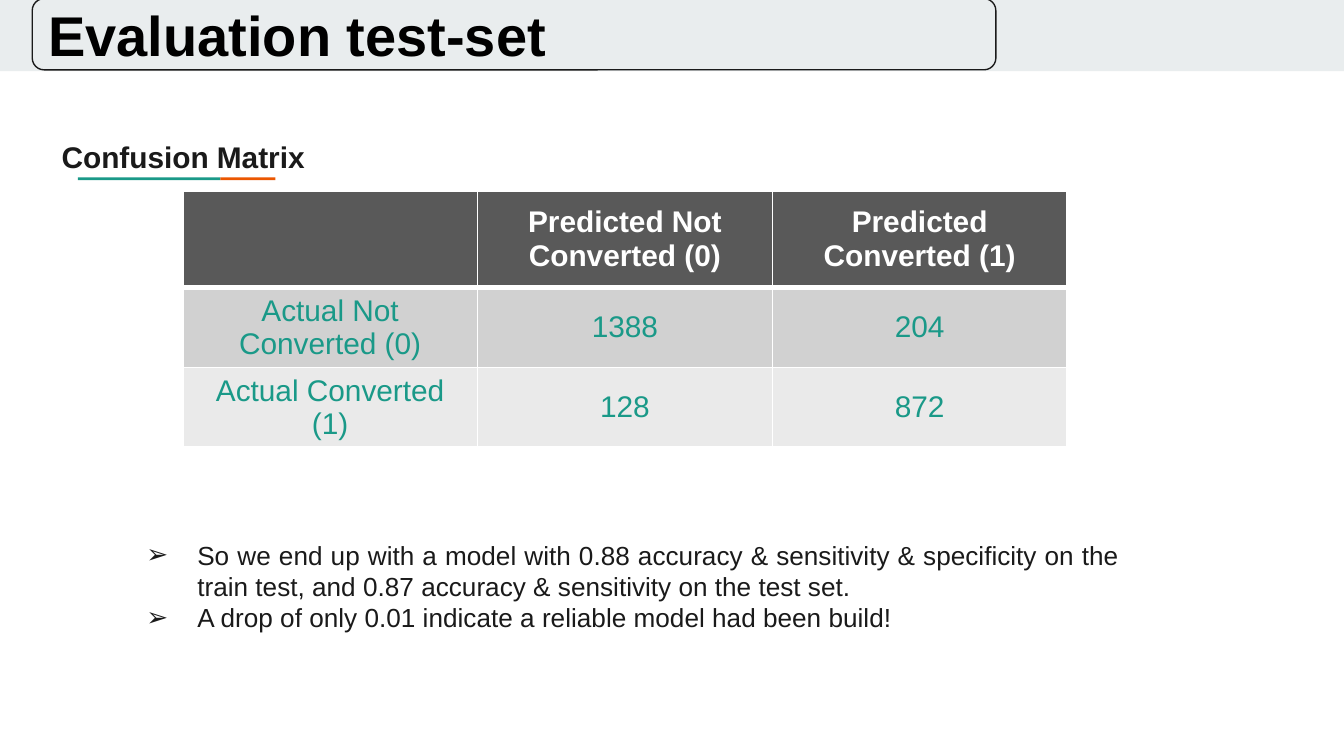
from lxml.etree import SubElement
from pptx import Presentation
from pptx.dml.color import RGBColor
from pptx.enum.shapes import MSO_SHAPE
from pptx.enum.text import MSO_ANCHOR, MSO_AUTO_SIZE, PP_ALIGN
from pptx.oxml.ns import qn
from pptx.util import Inches, Pt

WIDTH = 10
HEIGHT = WIDTH * 9 / 16
COLORS = {
    "band": "E9EDEE", "ink": "1A1A1A", "black": "000000", "white": "FFFFFF",
    "teal": "1A9988", "orange": "EB5600",
    "header": "595959", "odd_row": "D1D1D1", "even_row": "EAEAEA",
}
MATRIX = [
    ["", "Predicted Not Converted (0)", "Predicted Converted (1)"],
    ["Actual Not Converted (0)", "1388", "204"],
    ["Actual Converted (1)", "128", "872"],
]
ROW_HEIGHTS = [0.72, 0.59, 0.59]
FINDINGS = [
    "So we end up with a model with 0.88 accuracy & sensitivity & specificity "
    "on the train test, and 0.87 accuracy & sensitivity on the test set.",
    "A drop of only 0.01 indicate a reliable model had been build!",
]


def color(name):
    return RGBColor.from_string(COLORS[name])


def inches(box):
    return [Inches(length) for length in box]


def add_block(page, box, fill, kind=MSO_SHAPE.RECTANGLE, line=None):
    block = page.shapes.add_shape(kind, *inches(box))
    block.shadow.inherit = False
    block.fill.solid()
    block.fill.fore_color.rgb = color(fill)
    if line:
        block.line.color.rgb = color(line)
        block.line.width = Pt(0.75)
    else:
        block.line.fill.background()


def set_frame(frame, anchor=MSO_ANCHOR.TOP, inset=0.1):
    frame.word_wrap = True
    frame.auto_size = MSO_AUTO_SIZE.NONE
    frame.vertical_anchor = anchor
    frame.margin_left = frame.margin_right = Inches(inset)
    frame.margin_top = frame.margin_bottom = Inches(0.1)


def set_paragraph(para, text, size, ink, bold=False, align=PP_ALIGN.LEFT):
    para.text = text
    para.alignment = align
    para.font.name = "Arial"
    para.font.size = Pt(size)
    para.font.bold = bold
    para.font.color.rgb = color(ink)


def add_header(page, box):
    """Full-width band with the outlined title on it."""
    left, top, width, height = box
    add_block(page, box, "band")
    title_box = (left + 0.24, top - 0.01, 0.717 * width, height)
    add_block(page, title_box, "band", MSO_SHAPE.ROUNDED_RECTANGLE, "ink")
    title = page.shapes.title
    title.left, title.top, title.width, title.height = inches(title_box)
    set_frame(title.text_frame, MSO_ANCHOR.MIDDLE, 0.12)
    set_paragraph(title.text_frame.paragraphs[0], "Evaluation test-set", 30, "black", True)
    page.shapes._spTree.append(title._element)  # bring the title to the front


def add_section_heading(page, box):
    """Heading with a two-coloured rule under its first line."""
    left, top, width, height = box
    frame = page.shapes.add_textbox(*inches(box)).text_frame
    set_frame(frame)
    set_paragraph(frame.paragraphs[0], "Confusion Matrix", 16, "ink", True)
    frame.paragraphs[0]._p.get_or_add_pPr().set("marL", str(Inches(0.12)))
    rule_left = left + 0.34
    for length, fill in ((1.06, "teal"), (0.41, "orange")):
        add_block(page, (rule_left, top + 0.39, length, 0.02), fill)
        rule_left += length


def set_borders(cell, is_header):
    for side in "LRTB":
        width = 3 if is_header and side == "B" else 1
        line = SubElement(cell._tc.get_or_add_tcPr(), qn(f"a:ln{side}"), w=str(Pt(width)))
        SubElement(SubElement(line, qn("a:solidFill")), qn("a:srgbClr"), val=COLORS["white"])


def add_matrix(page, box):
    table = page.shapes.add_table(len(MATRIX), len(MATRIX[0]), *inches(box)).table
    for row, height in zip(table.rows, ROW_HEIGHTS):
        row.height = Inches(height)
    for row_index, (texts, fill) in enumerate(zip(MATRIX, ("header", "odd_row", "even_row"))):
        is_header = row_index == 0
        for column_index, text in enumerate(texts):
            cell = table.cell(row_index, column_index)
            set_borders(cell, is_header)
            cell.fill.solid()
            cell.fill.fore_color.rgb = color(fill)
            cell.vertical_anchor = MSO_ANCHOR.MIDDLE
            cell.margin_left = cell.margin_right = Inches(0.12)
            set_paragraph(cell.text_frame.paragraphs[0], text, 16,
                          "white" if is_header else "teal", is_header, PP_ALIGN.CENTER)


def add_findings(page, box):
    frame = page.shapes.add_textbox(*inches(box)).text_frame
    set_frame(frame)
    for index, text in enumerate(FINDINGS):
        para = frame.add_paragraph() if index else frame.paragraphs[0]
        set_paragraph(para, text, 14, "ink", align=PP_ALIGN.JUSTIFY)
        properties = para._p.get_or_add_pPr()
        properties.set("marL", str(Inches(0.5)))
        properties.set("indent", str(Inches(-0.38)))
        bullet_color = SubElement(properties, qn("a:buClr"))
        SubElement(bullet_color, qn("a:srgbClr"), val=COLORS["ink"])
        SubElement(properties, qn("a:buFont"), typeface="Arial")
        SubElement(properties, qn("a:buChar"), char="➢")
        # The schema puts the default run properties after the bullet.
        properties.append(properties.find(qn("a:defRPr")))


def main():
    deck = Presentation()
    deck.slide_width, deck.slide_height = Inches(WIDTH), Inches(HEIGHT)
    page = deck.slides.add_slide(deck.slide_layouts[5])
    add_header(page, (0, 0, WIDTH, 0.53))
    add_section_heading(page, (0.24, 0.93, 4.25, 4.04))
    add_matrix(page, (1.36, 1.42, 6.58, sum(ROW_HEIGHTS)))
    add_findings(page, (0.87, 3.91, 7.56, 1.18))
    deck.save("out.pptx")


if __name__ == "__main__":
    main()
